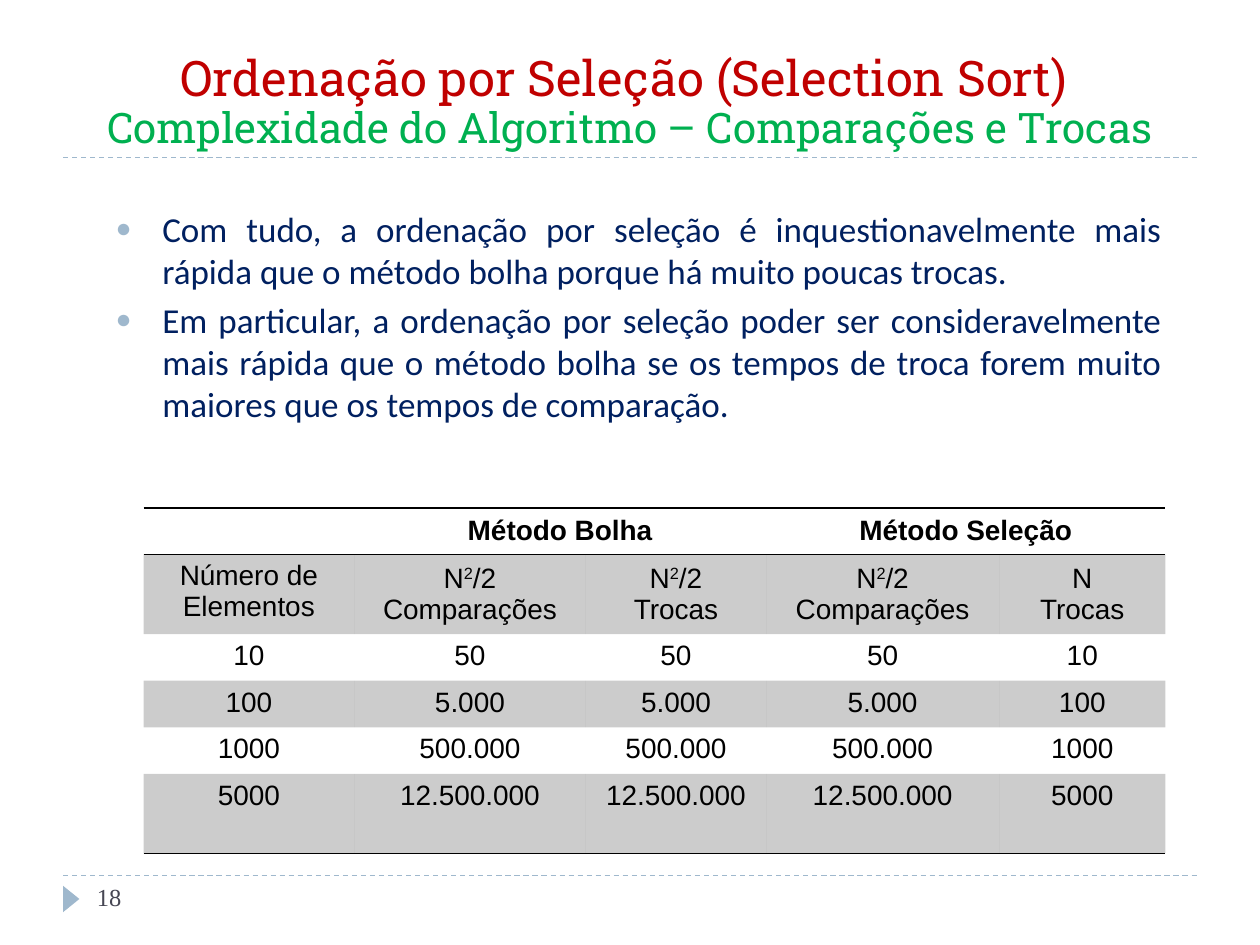
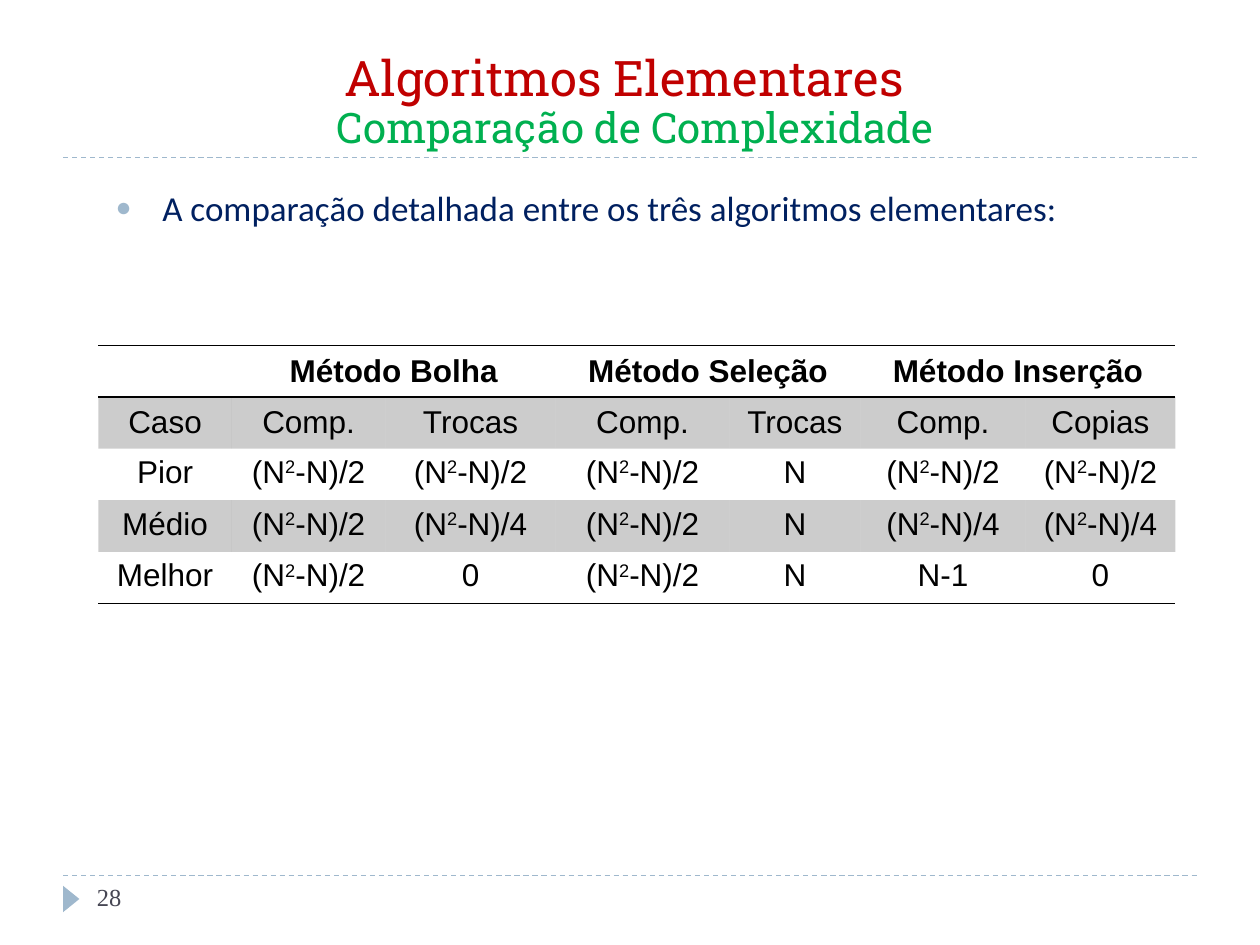
import dataclasses

import lxml.etree
import pptx
import pptx.dml.color
import pptx.enum.dml
import pptx.enum.shapes
import pptx.enum.text
import pptx.oxml.ns
import pptx.util

EMU_PER_PX = 9144
COLORS = {
    "title": "C00000",
    "subtitle": "00B050",
    "body": "002060",
    "accent": "9FB8CD",
    "number": "464653",
    "ink": "000000",
}
TITLE_FONT = "Roboto Slab"
BODY_FONT = "Calibri"
TABLE_FONT = "Arial"
NUMBER_FONT = "Times New Roman"
NO_STYLE = "{2D5ABB26-0587-4C30-8999-92F81FD0307C}"
ALIGN = pptx.enum.text.PP_ALIGN
ANCHOR = pptx.enum.text.MSO_ANCHOR


@dataclasses.dataclass
class TableData:
    left: int
    top: int
    size: int
    cols: list[int]
    row_heights: list[int]
    rows: list[list[str]]
    label_anchor: ANCHOR = ANCHOR.MIDDLE


@dataclasses.dataclass
class SlideData:
    title: str
    subtitle: str
    bullets: list[str]
    bullets_top: int
    bullets_height: int
    number: str
    table: TableData


def px(n: int) -> pptx.util.Emu:
    return pptx.util.Emu(n * EMU_PER_PX)


def rgb(name: str) -> pptx.dml.color.RGBColor:
    return pptx.dml.color.RGBColor.from_string(COLORS[name])


def add_xml(parent, tag: str, **attrs: str):
    return lxml.etree.SubElement(parent, pptx.oxml.ns.qn(tag), attrs)


def write(p, text: str, *, size: int, font: str, color: str, bold: bool = False) -> None:
    for i, part in enumerate(text.split("²")):
        for piece, raised in (("2" if i else "", True), (part, False)):
            if not piece:
                continue
            r = p.add_run()
            r.text = piece
            r.font.size = pptx.util.Pt(size)
            r.font.name = font
            r.font.bold = bold
            r.font.color.rgb = rgb(color)
            if raised:
                r.font._element.set("baseline", "30000")
    if not text:
        add_xml(p._p, "a:endParaRPr", sz=str(size * 100))


def add_box(s, left: int, top: int, width: int, height: int, anchor=ANCHOR.TOP):
    tf = s.shapes.add_textbox(px(left), px(top), px(width), px(height)).text_frame
    tf.word_wrap = True
    tf.vertical_anchor = anchor
    return tf


def add_rule(s, y: int) -> None:
    line = s.shapes.add_connector(
        pptx.enum.shapes.MSO_CONNECTOR.STRAIGHT, px(50), px(y), px(950), px(y))
    line.line.color.rgb = rgb("accent")
    line.line.width = pptx.util.Pt(0.75)
    line.line.dash_style = pptx.enum.dml.MSO_LINE.DASH
    add_xml(line._element.spPr, "a:effectLst")


def add_frame(s, data: SlideData) -> None:
    for y in (695, 125):
        add_rule(s, y)
    marker = s.shapes.add_shape(
        pptx.enum.shapes.MSO_SHAPE.ISOSCELES_TRIANGLE, px(46), px(707), px(21), px(13))
    marker.rotation = 90
    marker.shadow.inherit = False
    marker.fill.solid()
    marker.fill.fore_color.rgb = rgb("accent")
    marker.line.fill.background()

    p = add_box(s, 50, 26, 900, 100, ANCHOR.BOTTOM).paragraphs[0]
    p.alignment = ALIGN.CENTER
    p.line_spacing = 0.9
    write(p, data.title, size=28, font=TITLE_FONT, color="title")
    p.add_line_break()
    write(p, data.subtitle, size=24, font=TITLE_FONT, color="subtitle")

    p = add_box(s, 67, 695, 217, 40).paragraphs[0]
    write(p, data.number, size=14, font=NUMBER_FONT, color="number")


def add_bullets(s, data: SlideData) -> None:
    tf = add_box(s, 82, data.bullets_top, 850, data.bullets_height)
    for i, text in enumerate(data.bullets):
        p = tf.add_paragraph() if i else tf.paragraphs[0]
        p.alignment = ALIGN.JUSTIFY
        if i:
            p.space_before = pptx.util.Pt(4)
        pPr = p._p.get_or_add_pPr()
        pPr.set("marL", str(px(37)))
        pPr.set("indent", str(px(-37)))
        add_xml(add_xml(pPr, "a:buClr"), "a:srgbClr", val=COLORS["accent"])
        add_xml(pPr, "a:buSzPct", val="76000")
        add_xml(pPr, "a:buFont", typeface="Arial")
        add_xml(pPr, "a:buChar", char="●")
        write(p, text, size=20, font=BODY_FONT, color="body")


def add_border(cell, side: str) -> None:
    ln = add_xml(cell._tc.get_or_add_tcPr(), side, w=str(pptx.util.Pt(1)))
    add_xml(add_xml(ln, "a:solidFill"), "a:srgbClr", val=COLORS["ink"])


def fill_cell(cell, shaded: bool) -> None:
    if not shaded:
        cell.fill.background()
        return
    cell.fill.solid()
    cell.fill.fore_color.rgb = rgb("ink")
    clr = cell._tc.tcPr.find(".//" + pptx.oxml.ns.qn("a:solidFill") + "[last()]")
    fills = cell._tc.tcPr.findall(pptx.oxml.ns.qn("a:solidFill"))
    clr = fills[0][0]
    add_xml(clr, "a:alpha", val="20000")


def add_table(s, data: TableData) -> None:
    frame = s.shapes.add_table(
        len(data.rows), len(data.cols), px(data.left), px(data.top),
        px(sum(data.cols)), px(sum(data.row_heights)))
    table = frame.table
    table.first_row = False
    table.horz_banding = False
    table._tbl.tblPr.find(pptx.oxml.ns.qn("a:tableStyleId")).text = NO_STYLE
    for col, width in zip(table.columns, data.cols):
        col.width = px(width)
    for row, height in zip(table.rows, data.row_heights):
        row.height = px(height)
    for c in range(1, len(data.cols), 2):
        table.cell(0, c).merge(table.cell(0, c + 1))
    for y, values in enumerate(data.rows):
        for x, value in enumerate(values):
            cell = table.cell(y, x)
            if y < 2:
                cell.vertical_anchor = data.label_anchor if (y, x) == (1, 0) else ANCHOR.MIDDLE
            if y == 0:
                add_border(cell, "a:lnT")
            if y in (0, len(data.rows) - 1):
                add_border(cell, "a:lnB")
            fill_cell(cell, y % 2 == 1)
            for i, line in enumerate(value.split("\n")):
                p = cell.text_frame.add_paragraph() if i else cell.text_frame.paragraphs[0]
                p.alignment = ALIGN.CENTER
                write(p, line, size=data.size, font=TABLE_FONT, color="ink", bold=y == 0)


HALF = "(N²-N)/2"
QUARTER = "(N²-N)/4"
COMPARISONS = "N²/2\nComparações"

SLIDES = [
    SlideData(
        title="Ordenação por Seleção (Selection Sort) ",
        subtitle="Complexidade do Algoritmo – Comparações e Trocas",
        bullets=[
            "Com tudo, a ordenação por seleção é inquestionavelmente mais rápida "
            "que o método bolha porque há muito poucas trocas.",
            "Em particular, a ordenação por seleção poder ser consideravelmente "
            "mais rápida que o método bolha se os tempos de troca forem muito "
            "maiores que os tempos de comparação.",
        ],
        bullets_top=160,
        bullets_height=193,
        number="18",
        table=TableData(
            left=114, top=403, size=16,
            cols=[167, 184, 143, 185, 132],
            row_heights=[37, 63, 37, 37, 37, 63],
            rows=[
                ["", "Método Bolha", "", "Método Seleção", ""],
                ["Número de Elementos", COMPARISONS, "N²/2\nTrocas", COMPARISONS, "N\nTrocas"],
                ["10", "50", "50", "50", "10"],
                ["100", "5.000", "5.000", "5.000", "100"],
                ["1000", "500.000", "500.000", "500.000", "1000"],
                ["5000", "12.500.000", "12.500.000", "12.500.000", "5000"],
            ],
            label_anchor=ANCHOR.TOP,
        ),
    ),
    SlideData(
        title="Algoritmos Elementares ",
        subtitle=" Comparação de Complexidade",
        bullets=["A comparação detalhada entre os três algoritmos elementares:"],
        bullets_top=143,
        bullets_height=46,
        number="28",
        table=TableData(
            left=78, top=274, size=18,
            cols=[106, 122, 135, 138, 104, 131, 119],
            row_heights=[41] * 5,
            rows=[
                ["", "Método Bolha", "", "Método Seleção", "", "Método Inserção", ""],
                ["Caso", "Comp.", "Trocas", "Comp.", "Trocas", "Comp.", "Copias"],
                ["Pior", HALF, HALF, HALF, "N", HALF, HALF],
                ["Médio", HALF, QUARTER, HALF, "N", QUARTER, QUARTER],
                ["Melhor", HALF, "0", HALF, "N", "N-1", "0"],
            ],
        ),
    ),
]


def main() -> None:
    prs = pptx.Presentation()
    prs.slide_width = px(1000)
    prs.slide_height = px(750)
    for data in SLIDES:
        s = prs.slides.add_slide(prs.slide_layouts[6])
        add_frame(s, data)
        add_bullets(s, data)
        add_table(s, data.table)
    prs.save("out.pptx")


if __name__ == "__main__":
    main()
